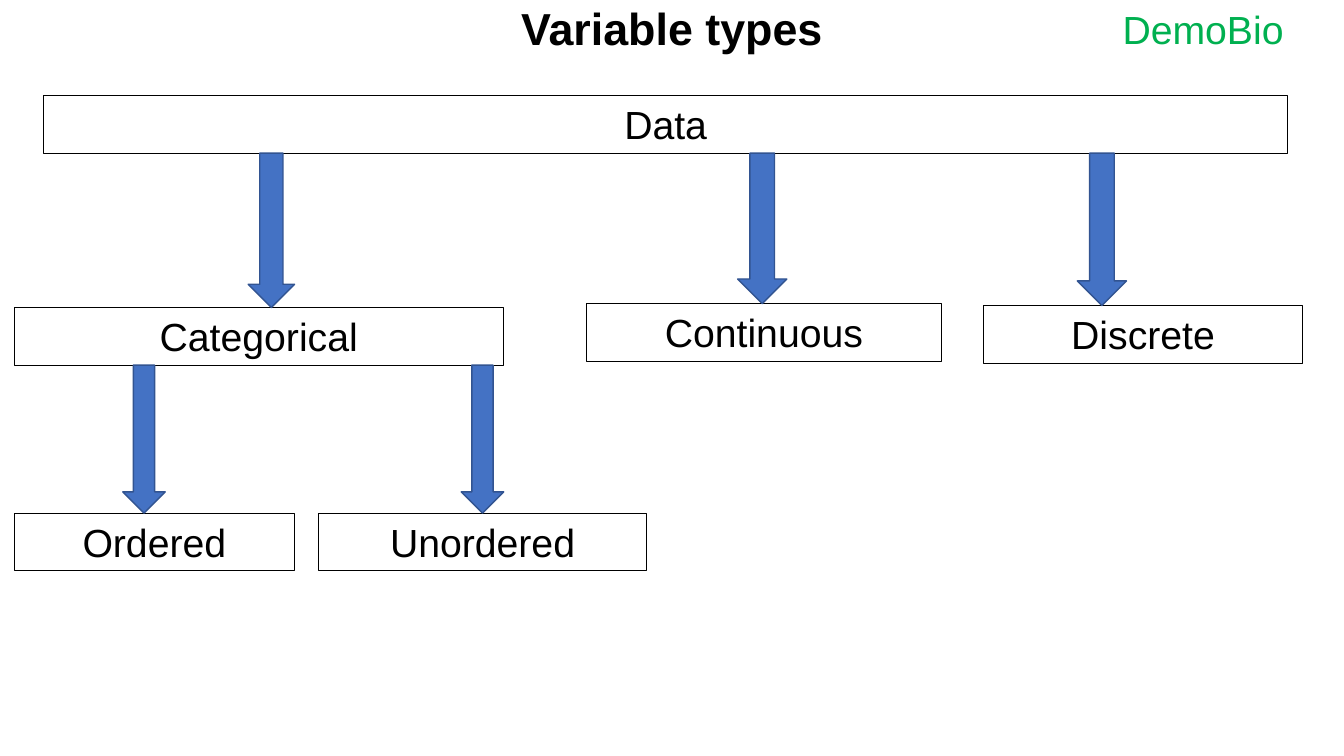
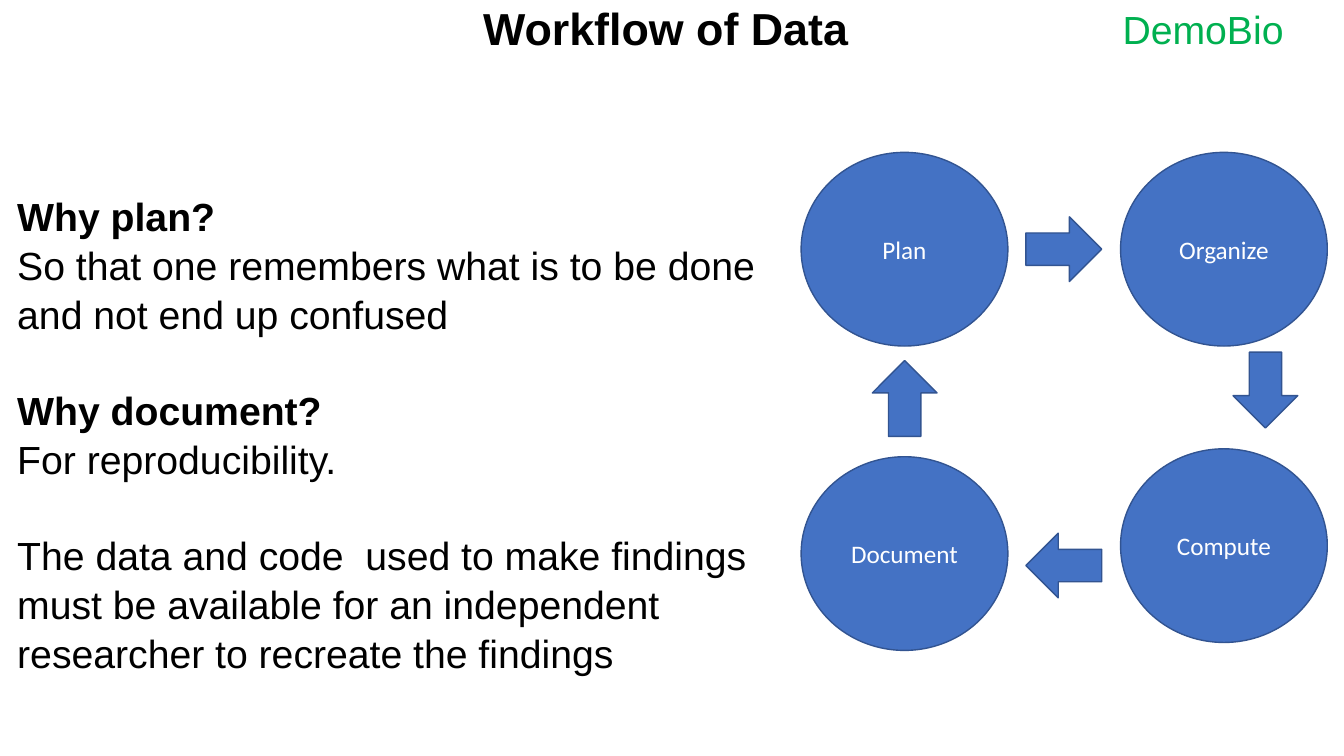
from pptx import Presentation
from pptx.dml.color import RGBColor
from pptx.enum.shapes import MSO_SHAPE as SHAPE
from pptx.enum.text import MSO_ANCHOR as ANCHOR, MSO_AUTO_SIZE as AUTO, PP_ALIGN as ALIGN
from pptx.oxml.ns import qn
from pptx.util import Cm, Pt

BLACK = RGBColor(0x00, 0x00, 0x00)
WHITE = RGBColor(0xFF, 0xFF, 0xFF)
GREEN = RGBColor(0x00, 0xB0, 0x50)
BLUE = RGBColor(0x44, 0x72, 0xC4)
BLUE_EDGE = RGBColor(0x32, 0x54, 0x91)

SLIDE_W, SLIDE_H = 33.87, 19.05
TITLE_ONLY, TITLE_AND_CONTENT = 5, 1  # layout numbers
BRAND = "DemoBio"


def write(p, text, size=28, font="Arial", color=BLACK, bold=False,
          align=ALIGN.LEFT, spacing=1.0, before=0):
    """Add one formatted run to a paragraph."""
    p.alignment, p.line_spacing, p.space_before = align, spacing, Pt(before)
    r = p.add_run()
    r.text = text
    r.font.size, r.font.name, r.font.bold = Pt(size), font, bold
    r.font.color.rgb = color


def place(sp, x, y, w, h):
    sp.left, sp.top, sp.width, sp.height = Cm(x), Cm(y), Cm(w), Cm(h)


def set_frame(tf, anchor=ANCHOR.TOP, wrap=True):
    tf.auto_size, tf.vertical_anchor, tf.word_wrap = AUTO.NONE, anchor, wrap


def add_shape(s, kind, x, y, w, h, fill=BLUE, line=BLUE_EDGE, width=1):
    sp = s.shapes.add_shape(kind, Cm(x), Cm(y), Cm(w), Cm(h))
    sp.shadow.inherit = False
    if fill is None:
        sp.fill.background()
    else:
        sp.fill.solid()
        sp.fill.fore_color.rgb = fill
    sp.line.color.rgb = line
    sp.line.width = Pt(width)
    return sp


def add_slide(prs, layout, title):
    """New slide with the shared title and brand label."""
    s = prs.slides.add_slide(prs.slide_layouts[layout])
    label = s.shapes.add_textbox(Cm(28.04), Cm(0), Cm(4.24), Cm(1.45))
    set_frame(label.text_frame, wrap=False)
    write(label.text_frame.paragraphs[0], BRAND, color=GREEN)
    place(s.shapes.title, 0, 0.05, SLIDE_W, 2.34)
    tf = s.shapes.title.text_frame
    set_frame(tf)
    write(tf.paragraphs[0], title, size=32, bold=True, align=ALIGN.CENTER, spacing=0.9)
    return s


def add_tree(s, left, top):
    """Boxes of variable types, each with an arrow from its parent."""
    box_h = 1.45
    # name, x, y, width, parent, arrow centre, arrow width
    nodes = [
        ("Data", 0.73, 0, 31.37, None, 0, 0),
        ("Categorical", 0, 5.34, 12.32, "Data", 6.48, 1.17),
        ("Continuous", 14.42, 5.24, 8.94, "Data", 18.85, 1.24),
        ("Discrete", 24.43, 5.29, 8.03, "Data", 27.41, 1.24),
        ("Ordered", 0, 10.52, 7.06, "Categorical", 3.27, 1.07),
        ("Unordered", 7.67, 10.52, 8.26, "Categorical", 11.8, 1.07),
    ]
    bottoms = {name: y + box_h for name, _, y, *_ in nodes}
    for name, x, y, w, parent, center, arrow_w in nodes:
        sp = add_shape(s, SHAPE.RECTANGLE, left + x, top + y, w, box_h,
                       fill=None, line=BLACK, width=0.75)
        set_frame(sp.text_frame)
        write(sp.text_frame.paragraphs[0], name, align=ALIGN.CENTER)
        if parent:
            start = bottoms[parent]
            add_shape(s, SHAPE.DOWN_ARROW, left + center - arrow_w / 2, top + start,
                      arrow_w, y - start)


def add_cycle(s, left, top):
    """Four circles joined clockwise by block arrows."""
    circle_w, circle_h, column = 5.21, 4.88, 8.05
    arrow_w, arrow_h = 1.91, 1.63
    # name, x, y, then centre and turn of the arrow that follows
    steps = [
        ("Plan", 0, 0, 6.62, 2.44, 0),
        ("Organize", column, 0, 11.7, 5.99, 90),
        ("Compute", column, 7.47, 6.62, 10.41, 180),
        ("Document", 0, 7.67, 2.61, 6.2, 270),
    ]
    for name, x, y, cx, cy, turn in steps:
        sp = add_shape(s, SHAPE.OVAL, left + x, top + y, circle_w, circle_h)
        set_frame(sp.text_frame, ANCHOR.MIDDLE)
        write(sp.text_frame.paragraphs[0], name, size=18, font="Calibri",
              color=WHITE, align=ALIGN.CENTER)
        arrow = add_shape(s, SHAPE.RIGHT_ARROW, left + cx - arrow_w / 2,
                          top + cy - arrow_h / 2, arrow_w, arrow_h)
        arrow.rotation = turn


def add_reasons(s, x, y, w, h):
    """Questions and answers in the body placeholder."""
    # text, bold, space before
    lines = [
        ("Why plan?", True, 0),
        ("So that one remembers what is to be done and not end up confused", False, 0),
        ("Why document?", True, 33.6),
        ("For reproducibility.", False, 0),
        ("The data and code  used to make findings must be available for an "
         "independent researcher to recreate the findings", False, 33.6),
    ]
    body = s.placeholders[1]
    place(body, x, y, w, h)
    tf = body.text_frame
    set_frame(tf)
    for i, (text, bold, before) in enumerate(lines):
        p = tf.add_paragraph() if i else tf.paragraphs[0]
        write(p, text, bold=bold, spacing=1.04, before=before)
        # No bullet and no hanging indent
        pPr = p._p.get_or_add_pPr()
        pPr.set("marL", "0")
        pPr.set("indent", "0")
        pPr.append(pPr.makeelement(qn("a:buNone"), {}))


def main():
    prs = Presentation()
    prs.slide_width, prs.slide_height = Cm(SLIDE_W), Cm(SLIDE_H)

    s = add_slide(prs, TITLE_ONLY, "Variable types")
    add_tree(s, 0.36, 2.41)

    s = add_slide(prs, TITLE_AND_CONTENT, "Workflow of Data ")
    add_cycle(s, 20.19, 3.84)
    add_reasons(s, 0.18, 4.67, 19.61, 12.22)

    prs.save("out.pptx")


if __name__ == "__main__":
    main()
